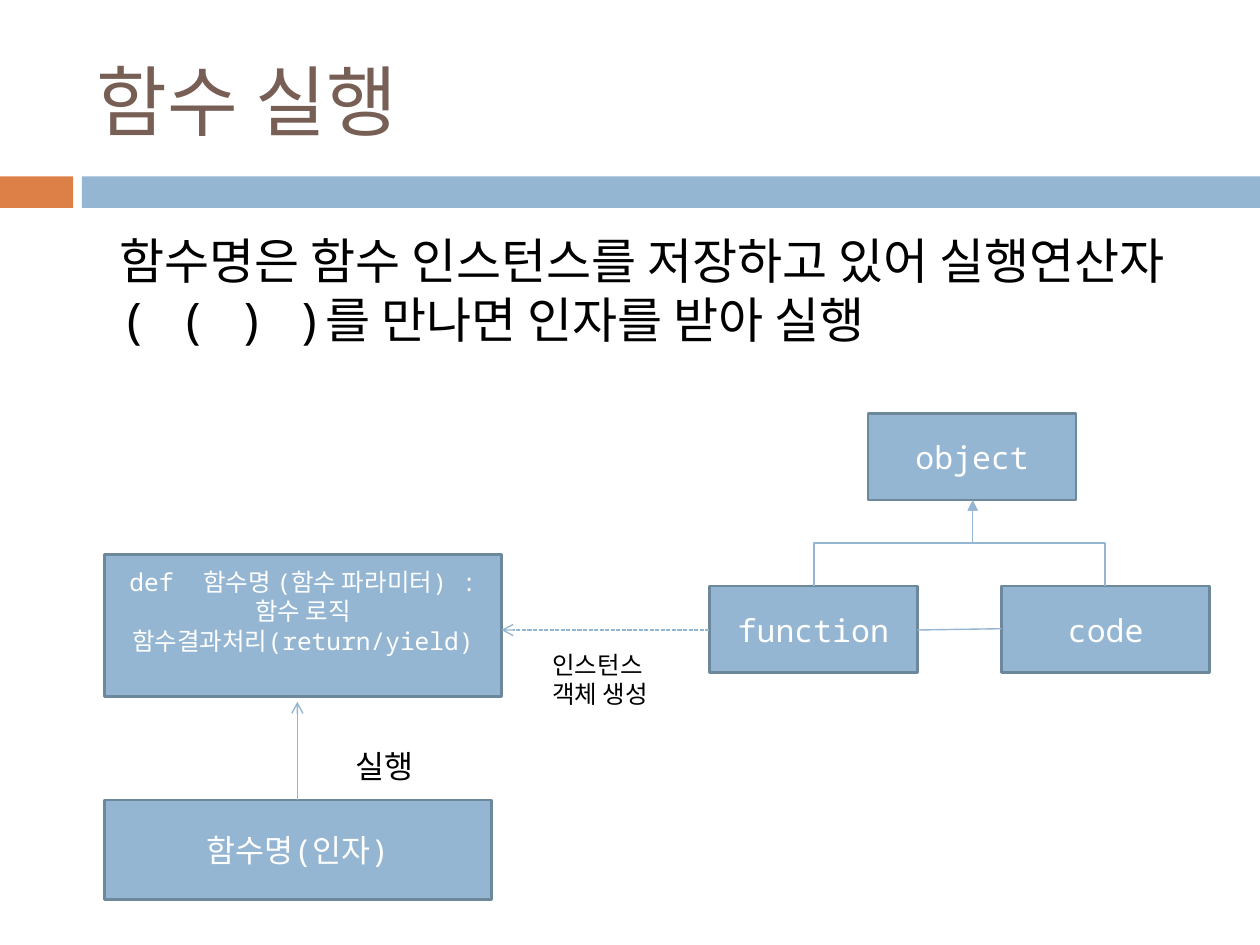
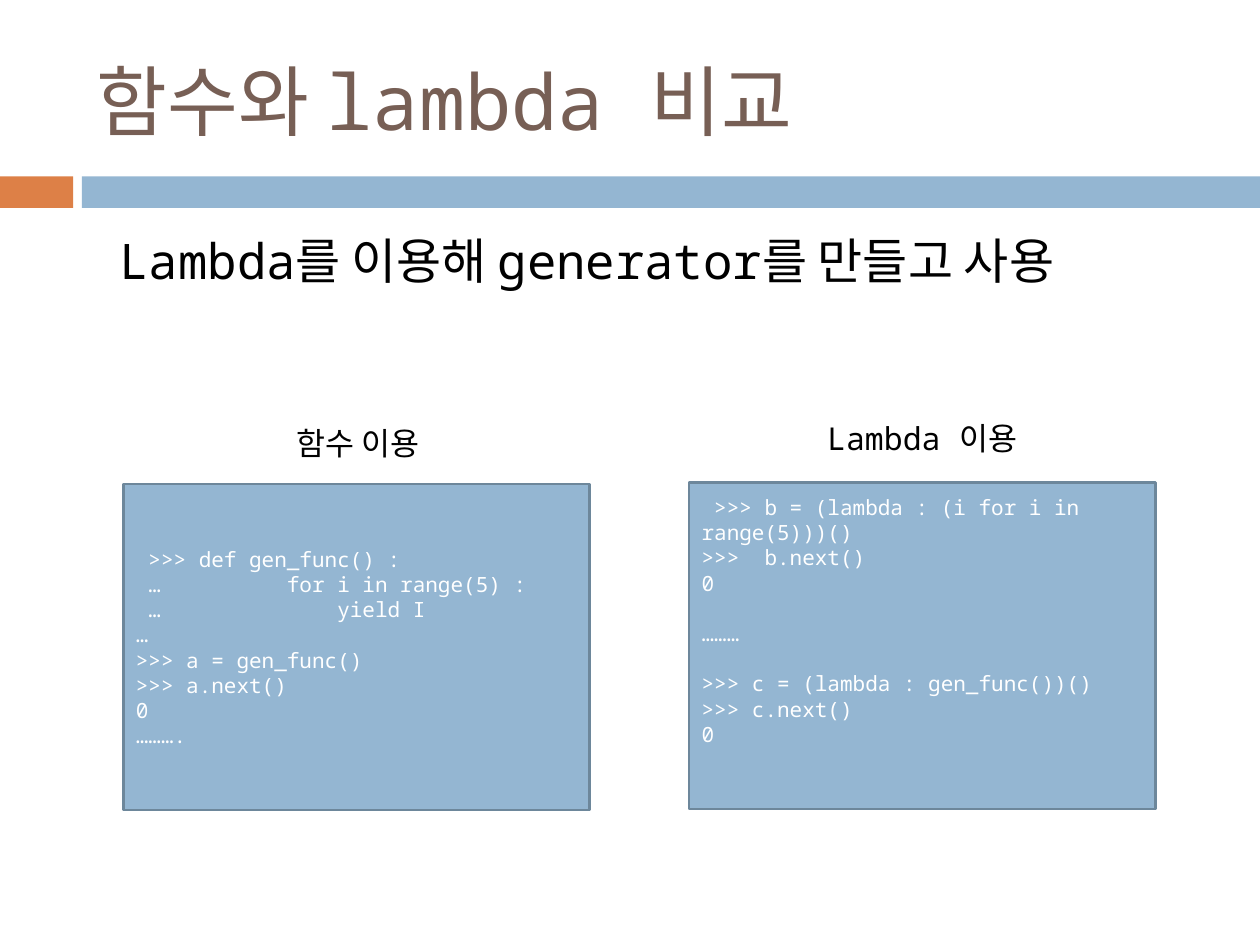
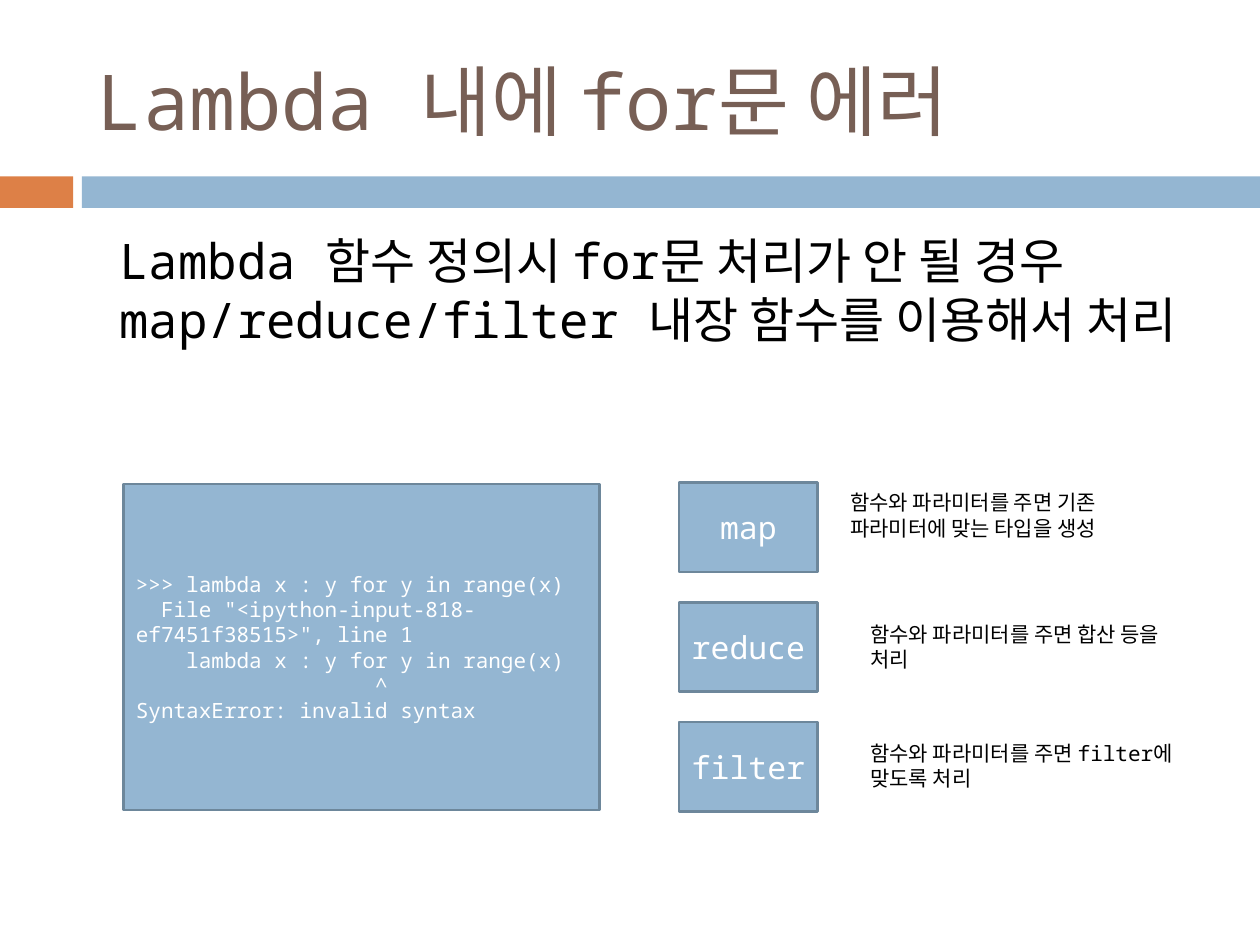
from lxml.etree import SubElement
from pptx import Presentation
from pptx.dml.color import RGBColor
from pptx.enum.dml import MSO_LINE
from pptx.enum.shapes import MSO_CONNECTOR, MSO_SHAPE
from pptx.enum.text import MSO_ANCHOR, PP_ALIGN
from pptx.oxml.ns import qn
from pptx.util import Inches, Pt

FONT = "Noto Sans Mono"
BLUE, EDGE, ORANGE = "94B6D2", "6D879B", "DD8047"
BROWN, BLACK, WHITE = "775F55", "000000", "FFFFFF"
LEFT, CENTER = PP_ALIGN.LEFT, PP_ALIGN.CENTER
hex_color = RGBColor.from_string


def add_box(s, at, lines=(), size=18, color=WHITE, fill=None, edge=None,
            align=LEFT, anchor=MSO_ANCHOR.TOP):
    at = [Inches(v) for v in at]
    if fill:
        sp = s.shapes.add_shape(MSO_SHAPE.RECTANGLE, *at)
        sp.shadow.inherit = False
        sp.fill.solid()
        sp.fill.fore_color.rgb = hex_color(fill)
        if edge:
            sp.line.color.rgb = hex_color(edge)
            sp.line.width = Pt(1.5)
        else:
            sp.line.fill.background()
    else:
        sp = s.shapes.add_textbox(*at)
    tf = sp.text_frame
    tf.word_wrap = True
    tf.vertical_anchor = anchor
    for i, line in enumerate(lines):
        p = tf.add_paragraph() if i else tf.paragraphs[0]
        p.text = line
        p.alignment = align
        p.font.name = FONT
        p.font.size = Pt(size)
        p.font.color.rgb = hex_color(color)
    return tf


def add_line(s, x1, y1, x2, y2, head=None, kind=MSO_CONNECTOR.STRAIGHT):
    cxn = s.shapes.add_connector(kind, *[Inches(v) for v in (x1, y1, x2, y2)])
    cxn.line.color.rgb = hex_color(BLUE)
    cxn.line.width = Pt(0.79)
    if head:
        SubElement(cxn.line._get_or_add_ln(), qn("a:tailEnd"), type=head)
    SubElement(cxn._element.spPr, qn("a:effectLst"))
    return cxn


prs = Presentation()
prs.slide_width, prs.slide_height = Inches(10), Inches(7.5)
node = dict(fill=BLUE, edge=EDGE, align=CENTER, anchor=MSO_ANCHOR.MIDDLE)
code = dict(node, size=12, align=LEFT)

# Bands, title and lead sentence of every slide
slides = []
for title, lead in [
    ("함수 실행",
     "함수명은 함수 인스턴스를 저장하고 있어 실행연산자( ( ) )를 만나면 인자를 받아 실행"),
    ("함수와 lambda 비교",
     "Lambda를 이용해 generator를 만들고 사용"),
    ("Lambda 내에 for문 에러",
     "Lambda 함수 정의시 for문 처리가 안 될 경우 map/reduce/filter 내장 함수를 이용해서 처리"),
]:
    s = prs.slides.add_slide(prs.slide_layouts[6])
    add_box(s, (0, 1.4, 0.58, 0.25), fill=ORANGE)
    add_box(s, (0.65, 1.4, 9.35, 0.25), fill=BLUE)
    add_box(s, (0.67, 0.25, 8.92, 1.08), [title], 44, BROWN, anchor=MSO_ANCHOR.MIDDLE)
    tf = add_box(s, (0.5, 1.78, 9, 1.42), [lead], 28, BLACK)
    tf.margin_left = Inches(0.45)
    slides.append(s)

# Slide 1: function definition and call
s = slides[0]
add_box(s, (0.83, 6.35, 3.07, 0.79), ["함수명(인자)"], **node)
tf = add_box(s, (0.83, 4.4, 3.15, 1.13),
             ["def  함수명 (함수 파라미터) :", "함수 로직", "함수결과처리(return/yield)"],
             size=14, **node)
tf.margin_top, tf.margin_bottom = 0, Inches(0.23)

# Slide 1: class diagram, children joined to object by elbows
node_w, node_h = 1.65, 0.69
for name, x, y in [("object", 6.89, 3.28), ("function", 5.63, 4.65), ("code", 7.95, 4.65)]:
    add_box(s, (x, y, node_w, node_h), [name], **node)
parent_x, mid_y, rise = 7.72, 4.31, 0.68
for child_x, side, angle in [(6.46, 1, 90), (8.77, -1, 270)]:
    mid_x, run = (child_x + parent_x) / 2, abs(child_x - parent_x)
    dx, dy = side * rise / 2, run / 2
    cxn = add_line(s, mid_x + dx, mid_y + dy, mid_x - dx, mid_y - dy,
                   "triangle", MSO_CONNECTOR.ELBOW)
    cxn._element.spPr.find(qn("a:xfrm")).set("rot", str(angle * 60000))
add_line(s, 7.28, 5, 7.95, 4.99)

# Slide 1: labelled arrows
cxn = add_line(s, 5.63, 5, 3.98, 5, "arrow")
cxn.line.dash_style = MSO_LINE.SQUARE_DOT
add_box(s, (3.9, 5.11, 1.73, 0.45), ["인스턴스 ", "객체 생성"], 14, BLACK, align=CENTER)
add_line(s, 2.36, 6.35, 2.36, 5.57, "arrow")
add_box(s, (2.72, 5.88, 1.02, 0.4), ["실행"], 18, BLACK)

# Slide 2: generator by function and by lambda
s = slides[1]
add_box(s, (0.98, 3.84, 3.7, 2.59), [
    " >>> def gen_func() :",
    " …          for i in range(5) :",
    " …              yield I",
    "…",
    ">>> a = gen_func()",
    ">>> a.next()",
    "0",
    "……….",
], **code)
tf = add_box(s, (5.47, 3.83, 3.7, 2.59), [
    " >>> b = (lambda : (i for i in range(5)))()",
    ">>>  b.next()",
    "0",
    "………",
    ">>> c = (lambda : gen_func())()",
    ">>> c.next()",
    "0",
], **code)
tf.margin_bottom = Inches(0.45)
for p in tf.paragraphs[3:5]:
    p.space_before = Pt(14.4)
for x, y, caption in [(1.46, 3.32, "함수 이용"), (5.94, 3.28, "Lambda 이용")]:
    add_box(s, (x, y, 2.76, 0.4), [caption], 18, BLACK, align=CENTER)

# Slide 3: failing lambda
s = slides[2]
add_box(s, (0.98, 3.84, 3.78, 2.59), [
    ">>> lambda x : y for y in range(x)",
    '  File "<ipython-input-818-ef7451f38515>", line 1',
    "    lambda x : y for y in range(x)",
    "                   ^",
    "SyntaxError: invalid syntax",
], **code)

# Slide 3: built-in functions with their notes
for i, (name, x, y, note) in enumerate([
    ("map", 6.65, 3.84, "함수와 파라미터를 주면 기존 파라미터에 맞는 타입을 생성"),
    ("reduce", 6.81, 4.88, "함수와 파라미터를 주면 합산 등을 처리"),
    ("filter", 6.81, 5.83, "함수와 파라미터를 주면 filter에 맞도록 처리"),
]):
    add_box(s, (5.39, 3.83 + 0.95 * i, 1.1, 0.71), [name], **node)
    add_box(s, (x, y, 2.83, 0.5), [note], 12, BLACK)

prs.save("out.pptx")
